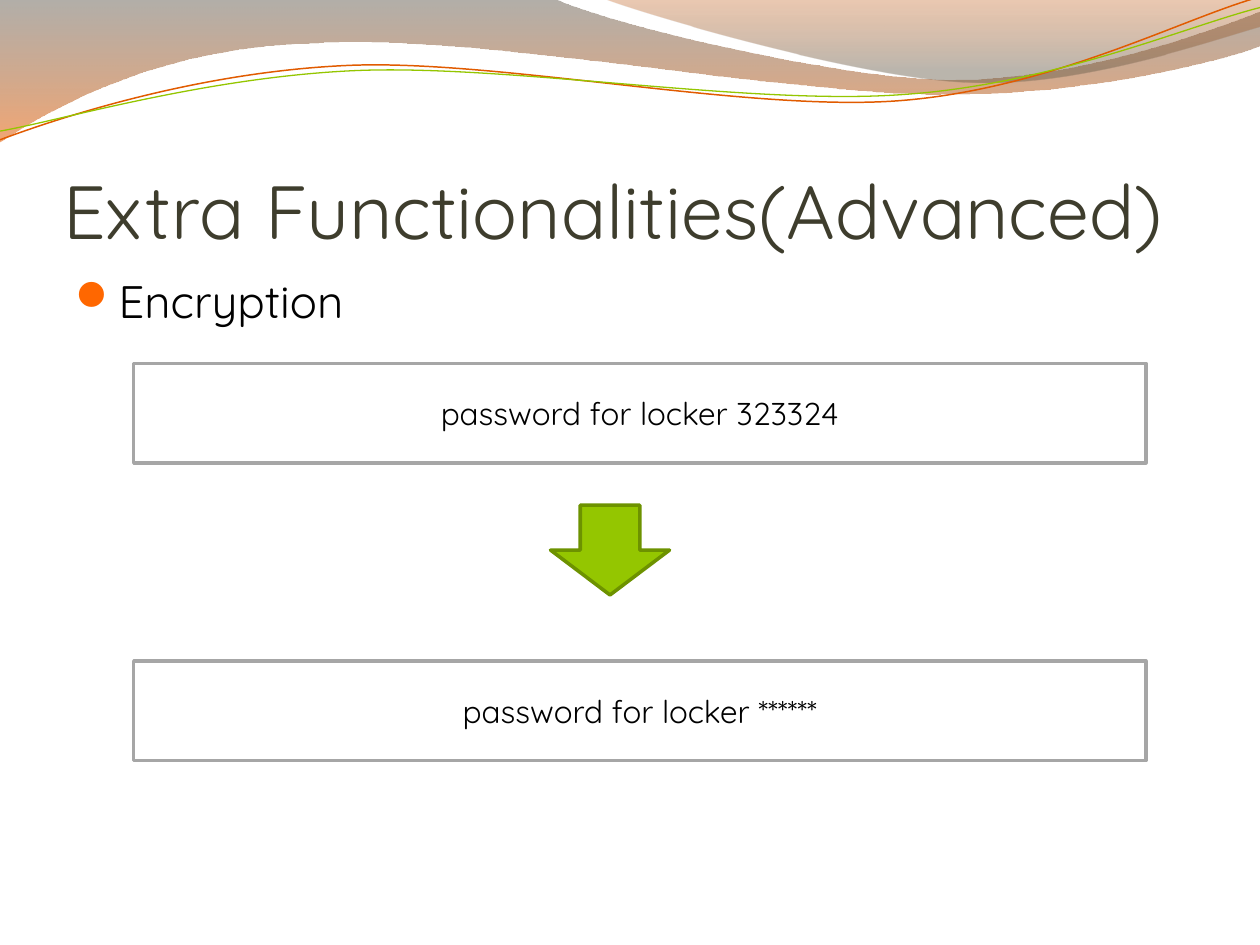
from pptx import Presentation
from pptx.dml.color import RGBColor
from pptx.enum.shapes import MSO_SHAPE
from pptx.enum.text import MSO_ANCHOR, MSO_AUTO_SIZE, PP_ALIGN
from pptx.oxml import parse_xml
from pptx.oxml.ns import nsdecls, qn
from pptx.util import Pt

FONT = "Quicksand"
HUES = {
    "title": "3E3D2D", "text": "000000", "bullet": "FF6700",
    "box": "FFFFFF", "edge": "A6A6A6", "arrow": "94C600", "rim": "6D9200",
    "orange": "E15B00", "green": "94C600",
    "stone": "554D41", "flame": "E75D00", "rust": "BD4C00", "slate": "685D4B",
}
WAVES = [
    ([(0, 0), (316.8, -0.7),
      (342.7, 12.2, 478.1, 45.4, 545.8, 45.4),
      (614.2, 45.4, 689.8, 18.7, 720, 6.5), (720.7, 25.9),
      (707.8, 31.7, 626.4, 54.7, 537.1, 54),
      (447.8, 54, 275, 20.2, 185, 24.5),
      (92.9, 25.9, 33.1, 59.8, -0.7, 81.4)],
     [(0, "stone", 45), (100, "flame", 55)]),
    ([(344.9, -0.7),
      (366.5, 7.9, 491, 44.6, 553.7, 46.8),
      (616.3, 49.7, 691.9, 23, 720, 15.1), (720, 0)],
     [(0, "rust", 30), (80, "slate", 45)]),
]
CURVES = [
    ([(0, 79.9), (34.6, 67, 113.8, 41, 199.4, 37.4),
      (284.4, 33.8, 427, 64.1, 513.4, 57.6),
      (599.8, 51.1, 675.4, 10.8, 718.6, -1.4)], "orange", 0.85),
    ([(0, 74.9), (33.8, 69.1, 118.1, 43.9, 203.8, 40.3),
      (290.2, 36.7, 429.8, 60.5, 516.2, 54),
      (601.9, 48.2, 677.5, 15.1, 720, 4.3)], "green", 0.75),
]


def hue(name):
    return RGBColor.from_string(HUES[name])


def place(shape, box):
    shape.left, shape.top, shape.width, shape.height = map(Pt, box)


def write(shape, text, size, color="text", align=PP_ALIGN.LEFT,
          anchor=MSO_ANCHOR.TOP, pad=(7.2, 3.6, 7.2, 3.6)):
    frame = shape.text_frame
    frame.word_wrap = True
    frame.auto_size = MSO_AUTO_SIZE.NONE
    frame.vertical_anchor = anchor
    (frame.margin_left, frame.margin_top,
     frame.margin_right, frame.margin_bottom) = map(Pt, pad)
    para = frame.paragraphs[0]
    para.alignment = align
    run = para.add_run()
    run.text = text
    run.font.name = FONT
    run.font.size = Pt(size)
    run.font.color.rgb = hue(color)
    return para


def paint(shape, fill, line, width):
    shape.shadow.inherit = False
    shape.fill.solid()
    shape.fill.fore_color.rgb = hue(fill)
    shape.line.color.rgb = hue(line)
    shape.line.width = Pt(width)


def outline(slide, box, parts, close):
    left, top = box
    spots = [((left + part[i]) * 100, (top + part[i + 1]) * 100)
             for part in parts for i in range(0, len(part), 2)]
    pen = slide.shapes.build_freeform(*spots[0], scale=Pt(1) / 100)
    pen.add_line_segments(spots[1:], close=close)
    shape = pen.convert_to_shape()
    shape.shadow.inherit = False
    lines = iter(list(shape._element.iter(qn("a:lnTo"))))
    for part in parts[1:]:
        first = next(lines)
        if len(part) == 6:
            bend = parse_xml(f'<a:cubicBezTo {nsdecls("a")}/>')
            first.addprevious(bend)
            for line in (first, next(lines), next(lines)):
                bend.append(line[0])
                line.getparent().remove(line)
    return shape


def blend(shape, stops):
    marks = "".join(
        f'<a:gs pos="{pos * 1000}"><a:srgbClr val="{HUES[name]}">'
        f'<a:alpha val="{alpha * 1000}"/></a:srgbClr></a:gs>'
        for pos, name, alpha in stops)
    shape.fill.background()
    props = shape._element.spPr
    props.replace(props.find(qn("a:noFill")), parse_xml(
        f'<a:gradFill {nsdecls("a")} rotWithShape="1"><a:gsLst>{marks}</a:gsLst>'
        '<a:lin ang="5400000" scaled="0"/></a:gradFill>'))


def banner(slide, box):
    for parts, stops in WAVES:
        wave = outline(slide, box, parts, True)
        blend(wave, stops)
        wave.line.fill.background()
    for parts, color, width in CURVES:
        curve = outline(slide, box, parts, False)
        curve.fill.background()
        curve.line.color.rgb = hue(color)
        curve.line.width = Pt(width)


def header(slide, box):
    title = slide.shapes.title
    place(title, box)
    write(title, "Extra Functionalities(Advanced)", 43, color="title",
          anchor=MSO_ANCHOR.BOTTOM, pad=(0, 3.6, 0, 0))


def body(slide, box):
    para = write(slide.shapes.add_textbox(*map(Pt, box)), "Encryption", 26)
    para.space_before = Pt(5.2)
    props = para._p.get_or_add_pPr()
    props.set("marL", str(Pt(21.6)))
    props.set("indent", str(-Pt(21.6)))
    for tag in (f'buClr {nsdecls("a")}><a:srgbClr val="{HUES["bullet"]}"/></a:buClr',
                f'buSzPct {nsdecls("a")} val="95000"/',
                f'buFont {nsdecls("a")} typeface="Wingdings 2"/',
                f'buChar {nsdecls("a")} char="\uf097"/'):
        props.append(parse_xml(f"<a:{tag}>"))


def flow(slide, box):
    left, top, width, height = box
    tall = 56.9
    for y, text in ((top, "password for locker 323324"),
                    (top + height - tall, "password for locker ******")):
        card = slide.shapes.add_shape(
            MSO_SHAPE.RECTANGLE, *map(Pt, (left, y, width, tall)))
        paint(card, "box", "edge", 2)
        write(card, text, 18, align=PP_ALIGN.CENTER, anchor=MSO_ANCHOR.MIDDLE)
    arrow = slide.shapes.add_shape(
        MSO_SHAPE.DOWN_ARROW, *map(Pt, (left + 238.2, top + 81.1, 68, 51.3)))
    paint(arrow, "arrow", "rim", 2)


def build():
    deck = Presentation()
    deck.slide_width, deck.slide_height = Pt(720), Pt(540)
    slide = deck.slides.add_slide(deck.slide_layouts[5])
    banner(slide, (0, 0))
    header(slide, (36, 55.4, 648, 90))
    body(slide, (36, 152.6, 648, 345.6))
    flow(slide, (76.4, 207.6, 578.4, 227))
    deck.save("out.pptx")


build()
